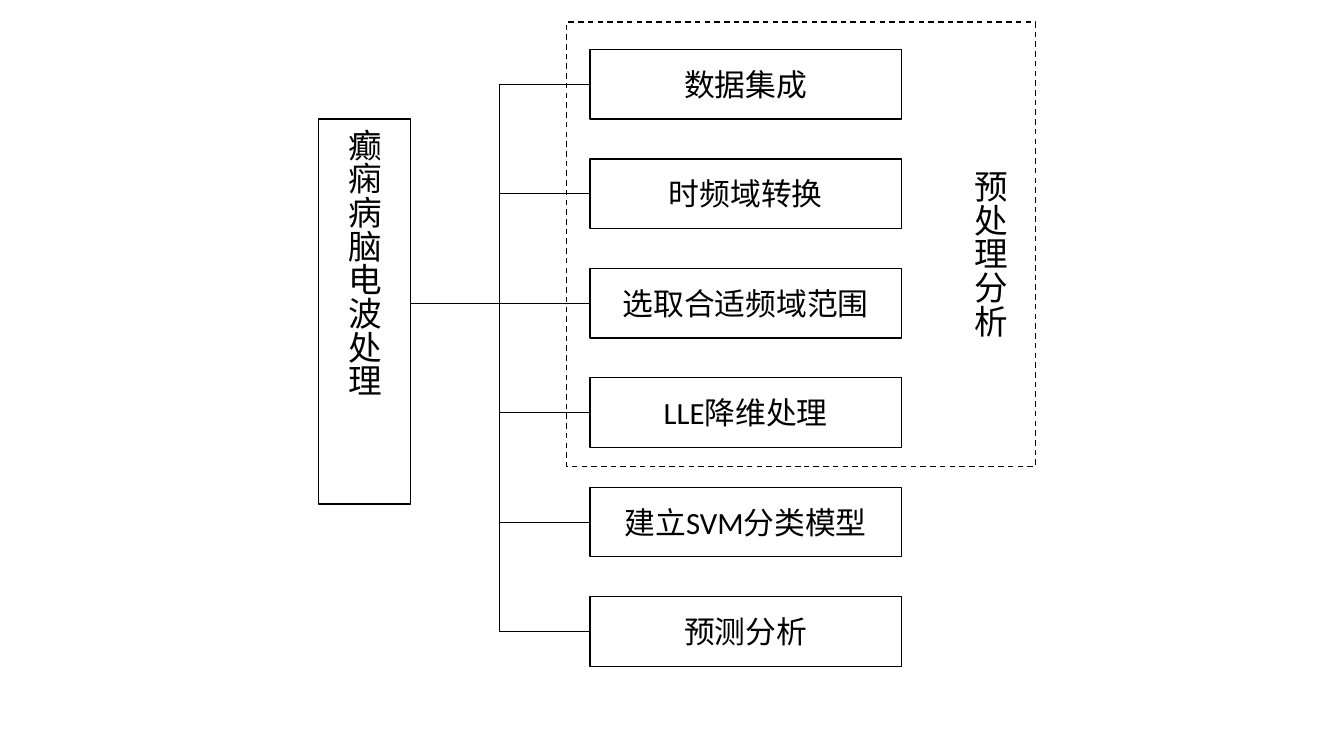
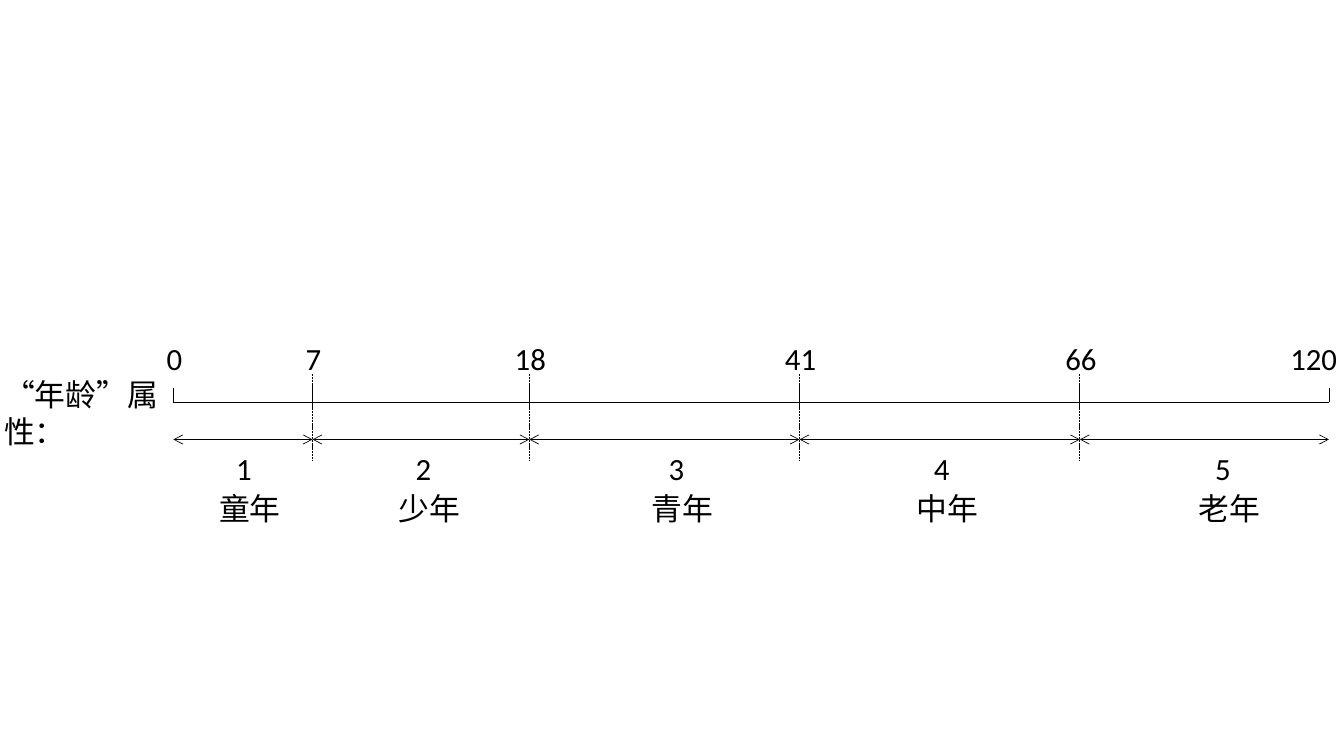
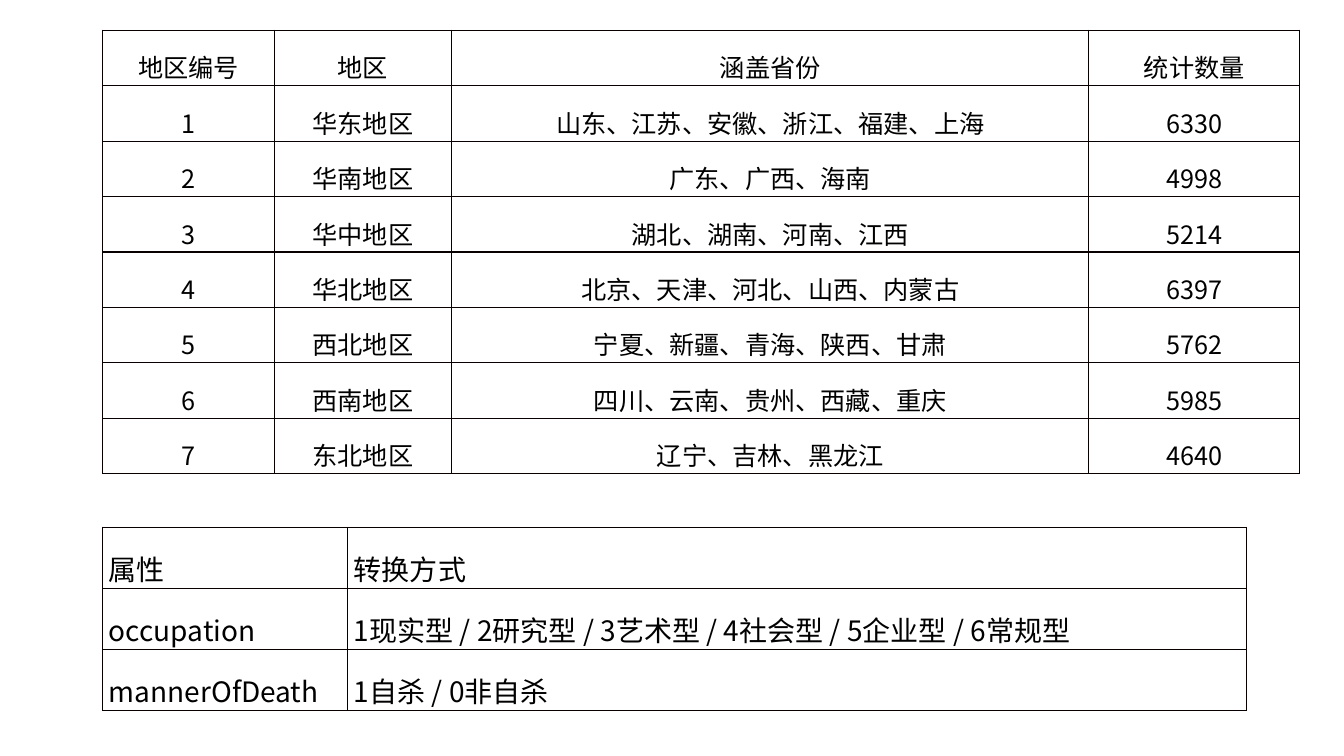
from itertools import pairwise

from lxml.etree import SubElement
from pptx import Presentation
from pptx.dml.color import RGBColor
from pptx.enum.dml import MSO_LINE
from pptx.enum.shapes import MSO_CONNECTOR, MSO_SHAPE
from pptx.enum.text import MSO_ANCHOR, PP_ALIGN
from pptx.oxml.ns import qn
from pptx.util import Inches, Pt

BLACK = RGBColor(0, 0, 0)
BORDER = RGBColor(8, 0, 0)
LATIN_FONT = "Calibri"
CHINESE_FONT = "Noto Sans CJK SC"

TOPIC = "癫痫病脑电波处理"
STEPS = ["数据集成", "时频域转换", "选取合适频域范围", "LLE降维处理", "建立SVM分类模型", "预测分析"]
STAGE = "预处理分析"

ATTRIBUTE = "“年龄”属性："
AGES = [("0", 1.72), ("7", 3.1), ("18", 5.25), ("41", 7.93), ("66", 10.71), ("120", 13.18)]
PERIODS = [("童年", 2.42), ("少年", 4.2), ("青年", 6.71), ("中年", 9.34), ("老年", 12.13)]

REGIONS = [
    ("地区编号", "地区", "涵盖省份", "统计数量"),
    ("1", "华东地区", "山东、江苏、安徽、浙江、福建、上海", "6330"),
    ("2", "华南地区", "广东、广西、海南", "4998"),
    ("3", "华中地区", "湖北、湖南、河南、江西", "5214"),
    ("4", "华北地区", "北京、天津、河北、山西、内蒙古", "6397"),
    ("5", "西北地区", "宁夏、新疆、青海、陕西、甘肃", "5762"),
    ("6", "西南地区", "四川、云南、贵州、西藏、重庆", "5985"),
    ("7", "东北地区", "辽宁、吉林、黑龙江", "4640"),
]
CONVERSIONS = [
    ("属性", "转换方式"),
    ("occupation", "1现实型 / 2研究型 / 3艺术型 / 4社会型 / 5企业型 / 6常规型"),
    ("mannerOfDeath", "1自杀 / 0非自杀"),
]


def write_text(frame, text, size=22, font=LATIN_FONT, align=PP_ALIGN.CENTER,
               spacing=None, vertical=False):
    frame.word_wrap = True
    if vertical:
        frame._txBody.bodyPr.set("vert", "eaVert")
    paragraph = frame.paragraphs[0]
    paragraph.alignment = align
    paragraph.line_spacing = spacing
    run = paragraph.add_run()
    run.text = text
    run.font.size = Pt(size)
    run.font.name = font
    run.font.color.rgb = BLACK
    SubElement(run.font._element, qn("a:ea"), typeface=CHINESE_FONT)


def add_label(slide, text, left, top, width, height=0.47, **text_format):
    label = slide.shapes.add_textbox(Inches(left), Inches(top), Inches(width), Inches(height))
    write_text(label.text_frame, text, **text_format)
    return label


def add_box(slide, left, top, width, height, text="", dash=None, **text_format):
    box = slide.shapes.add_shape(MSO_SHAPE.RECTANGLE, Inches(left), Inches(top),
                                 Inches(width), Inches(height))
    box.shadow.inherit = False
    box.fill.background()
    box.line.color.rgb = BLACK
    box.line.width = Pt(1)
    box.line.dash_style = dash
    if text:
        box.text_frame.vertical_anchor = MSO_ANCHOR.MIDDLE
        write_text(box.text_frame, text, **text_format)
    return box


def add_line(slide, x1, y1, x2, y2, dash=None, arrows=False):
    line = slide.shapes.add_connector(MSO_CONNECTOR.STRAIGHT, Inches(x1), Inches(y1),
                                      Inches(x2), Inches(y2))
    line.line.color.rgb = BLACK
    line.line.width = Pt(0.5)
    line.line.dash_style = dash
    if arrows:
        for end in ("a:headEnd", "a:tailEnd"):
            SubElement(line.line._get_or_add_ln(), qn(end), type="arrow")
    SubElement(line._element.spPr, qn("a:effectLst"))
    return line


def add_grid(slide, rows, left, top, widths, row_height, indent=0, **text_format):
    table = slide.shapes.add_table(len(rows), len(widths), Inches(left), Inches(top),
                                   Inches(sum(widths)), Inches(row_height * len(rows))).table
    table.first_row = table.horz_banding = False
    for column, width in zip(table.columns, widths):
        column.width = Inches(width)
    for r, row in enumerate(rows):
        for c, text in enumerate(row):
            cell = table.cell(r, c)
            cell.margin_right = cell.margin_top = cell.margin_bottom = 0
            cell.margin_left = Inches(indent)
            for side in ("a:lnL", "a:lnR", "a:lnT", "a:lnB"):
                edge = SubElement(cell._tc.get_or_add_tcPr(), qn(side), w=str(Pt(1)))
                SubElement(SubElement(edge, qn("a:solidFill")), qn("a:srgbClr"), val=str(BORDER))
            cell.fill.background()
            write_text(cell.text_frame, text, font=CHINESE_FONT, spacing=1.5, **text_format)


def build_process(slide):
    step_left, step_width, step_height = 5.85, 3.09, 0.69
    first_top, last_top = 0.49, 5.92
    pitch = (last_top - first_top) / (len(STEPS) - 1)
    trunk_x, topic_right, main_step = 4.95, 4.07, 2

    add_box(slide, 3.16, 1.18, topic_right - 3.16, 3.82, TOPIC, size=24, vertical=True)
    for i, step in enumerate(STEPS):
        top = first_top + i * pitch
        middle = top + step_height / 2
        box = add_box(slide, step_left, top, step_width, step_height, step)
        start = topic_right if i == main_step else trunk_x
        add_line(slide, start, middle, step_left, middle).end_connect(box, 1)
    add_line(slide, trunk_x, first_top + step_height / 2, trunk_x, last_top + step_height / 2)
    add_box(slide, 5.62, 0.22, 4.65, 4.41, dash=MSO_LINE.DASH)
    add_label(slide, STAGE, 9.47, 1.59, 0.6, 1.95, size=24, align=PP_ALIGN.LEFT, vertical=True)


def build_timeline(slide):
    axis_y, span_y, label_width, last_label_center = 3.99, 4.36, 0.9, 13.03
    attribute = add_label(slide, ATTRIBUTE, 0, 3.68, 1.82, 0.84, align=PP_ALIGN.LEFT)
    attribute.text_frame.margin_left = Inches(0.04)

    positions = [x for _, x in AGES]
    add_line(slide, positions[0], axis_y, positions[-1], axis_y)
    for age, x in AGES:
        center = min(x + 0.01, last_label_center)
        add_label(slide, age, center - label_width / 2, 3.32, label_width)
        add_line(slide, x, 3.85, x, axis_y)
    for x in positions[1:-1]:
        add_line(slide, x, 3.71, x, 4.57, dash=MSO_LINE.SQUARE_DOT)
    for start, end in pairwise(positions):
        add_line(slide, start, span_y, end, span_y, arrows=True)
    for number, (period, center) in enumerate(PERIODS, 1):
        left = center - label_width / 2
        add_label(slide, str(number), left, 4.41, label_width)
        add_label(slide, period, left + 0.06, 4.81, label_width)


def build_tables(slide):
    add_grid(slide, REGIONS, 1.02, 0.3, [1.7, 1.76, 6.32, 2.09], 0.55, size=18)
    add_grid(slide, CONVERSIONS, 1.02, 5.23, [2.43, 8.91], 0.6, indent=0.06, size=20,
             align=PP_ALIGN.LEFT)


def main():
    deck = Presentation()
    deck.slide_width = Inches(13.33)
    deck.slide_height = Inches(7.5)
    for build in (build_process, build_timeline, build_tables):
        build(deck.slides.add_slide(deck.slide_layouts[6]))
    deck.save("out.pptx")


if __name__ == "__main__":
    main()
